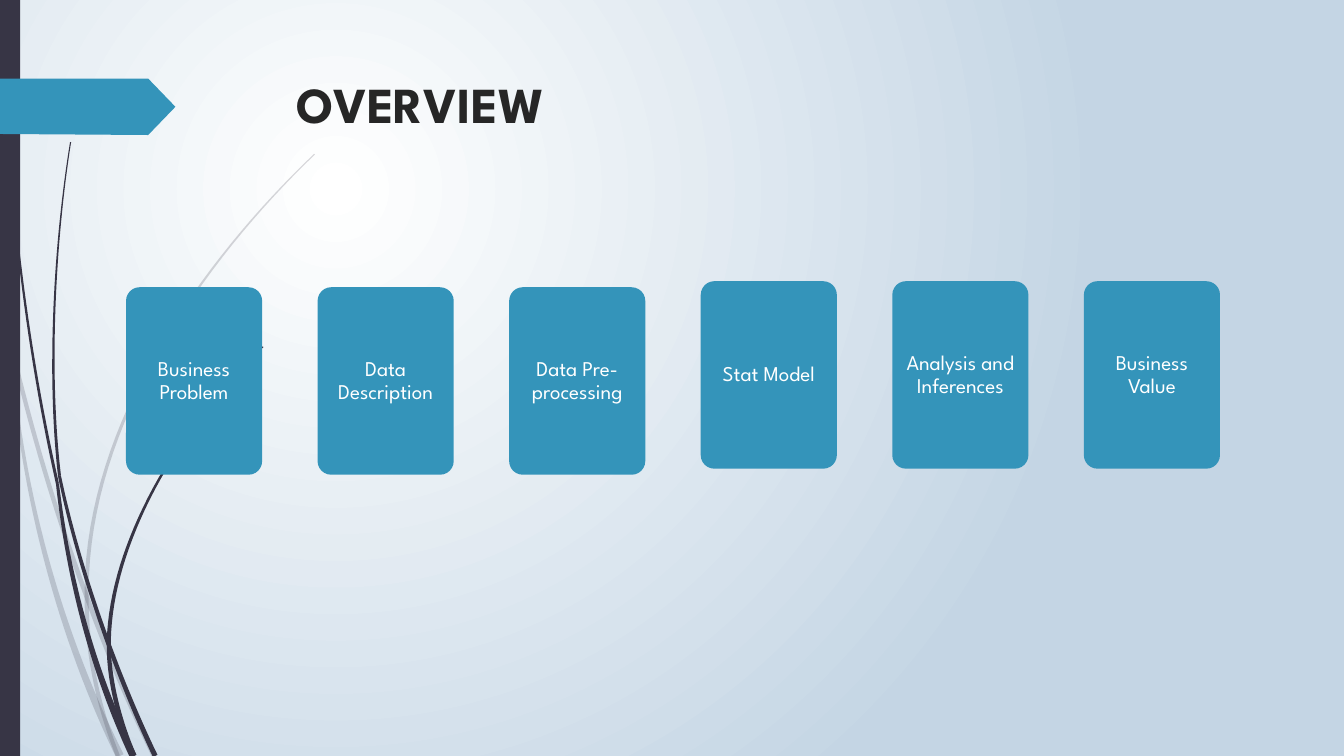
from lxml import etree
from pptx import Presentation
from pptx import util as u
from pptx.dml.color import RGBColor
from pptx.enum import shapes, text
from pptx.oxml import ns

HUES = {"stem": "373545", "card": "3494BA", "title": "262626",
        "label": "FFFFFF", "glow": "FFFFFF", "edge": "C4D5E4"}
FONT = "League Spartan"
TITLE = "OVERVIEW"
CARDS = ["Business Problem", "Data Description", "Data Pre-processing",
         "Stat Model", "Analysis and Inferences", "Business Value"]
TOPS = [2.85] * 3 + [2.79] * 3
LEFT, STEP, WIDE, HIGH = 1.25, 1.9, 1.35, 1.86
INSET = {"margin_left": 0.07, "margin_top": 0.07,
         "margin_right": 0.07, "margin_bottom": 0.07}
TAG = [(0, 0.78), (1.47, 0.78), (1.74, 1.06), (1.47, 1.34), (0, 1.33)]

FAINT = [
    ([(0, 2.9), (0.31, 4.45), (0.87, 6.15), (1.53, 7.5)], 0.04, 0.05),
    ([(0.11, 3.5), (0.22, 4.95), (0.62, 6.35), (1.19, 7.5)], 0.02, 0.08),
    ([(3.12, 1.53), (2, 2.6), (0.87, 4.2), (0.86, 5.85)], 0.01, 0.04),
    ([(0.86, 5.85), (0.85, 6.4), (0.95, 6.95), (1.17, 7.5)], 0.04, 0.04),
]
DARK = [
    ([(0.03, 0), (0.05, 1.6), (0.22, 3.25), (0.57, 4.8)], 0.01, 0.03),
    ([(0.57, 4.8), (0.68, 5.75), (0.92, 6.65), (1.32, 7.5)], 0.03, 0.07),
    ([(0.7, 1.41), (0.54, 2.4), (0.47, 3.7), (0.59, 4.72)], 0.01, 0.03),
    ([(0.59, 4.72), (0.76, 5.55), (1.12, 6.62), (1.54, 7.5)], 0.03, 0.05),
    ([(2.61, 3.44), (1.75, 4.25), (1.1, 5.4), (1.08, 6.36)], 0.01, 0.04),
    ([(1.08, 6.36), (1.07, 6.75), (1.2, 7.2), (1.33, 7.5)], 0.04, 0.05),
]


def paint(shape, hue):
    shape.shadow.inherit = False
    shape.fill.solid()
    shape.fill.fore_color.rgb = RGBColor.from_string(HUES[hue])
    shape.line.fill.background()
    return shape


def blend(dots, t):
    while len(dots) > 1:
        dots = [(a + (c - a) * t, b + (d - b) * t)
                for (a, b), (c, d) in zip(dots, dots[1:])]
    return dots[0]


def taper(spine, thin, thick, cuts=32):
    pull = [(c - a, d - b) for (a, b), (c, d) in zip(spine, spine[1:])]
    near, far = [], []
    for n in range(cuts + 1):
        t = n / cuts
        x, y = blend(spine, t)
        dx, dy = blend(pull, t)
        half = (thin + (thick - thin) * t) / 2 / (dx * dx + dy * dy) ** 0.5
        near.append((x - dy * half, y + dx * half))
        far.append((x + dy * half, y - dx * half))
    return near + far[::-1]


def outline(home, dots, hue):
    dots = [(u.Inches(x), u.Inches(y)) for x, y in dots]
    pen = home.build_freeform(*dots[0])
    pen.add_line_segments(dots[1:], close=True)
    return paint(pen.convert_to_shape(), hue)


def write(frame, words, size, hue, bold=False):
    frame.word_wrap = True
    par = frame.paragraphs[0]
    run = par.add_run()
    run.text = words
    for key, val in {"name": FONT, "size": u.Pt(size), "bold": bold}.items():
        setattr(run.font, key, val)
    run.font.color.rgb = RGBColor.from_string(HUES[hue])
    return par


def main():
    deck = Presentation()
    deck.slide_width, deck.slide_height = u.Inches(13.33), u.Inches(7.5)
    slide = deck.slides.add_slide(deck.slide_layouts[6])
    home = slide.shapes

    back = slide.background.fill
    back.gradient()
    for stop, hue in zip(back.gradient_stops, ("glow", "edge")):
        stop.color.rgb = RGBColor.from_string(HUES[hue])
    lin = next(slide.element.iter(ns.qn("a:lin")))
    ring = etree.Element(ns.qn("a:path"))
    ring.set("path", "circle")
    etree.SubElement(ring, ns.qn("a:fillToRect"),
                     l="50000", t="50000", r="100000", b="100000")
    lin.getparent().replace(lin, ring)

    for stems, alpha in ((FAINT, "20000"), (DARK, "100000")):
        group = home.add_group_shape()
        for stem in stems:
            blade = outline(group.shapes, taper(*stem), "stem")
            tint = next(blade.element.iter(ns.qn("a:srgbClr")))
            etree.SubElement(tint, ns.qn("a:alpha"), val=alpha)

    paint(home.add_shape(shapes.MSO_SHAPE.RECTANGLE, 0, 0, u.Inches(0.2),
                         deck.slide_height), "stem")
    outline(home, TAG, "card")
    box = home.add_textbox(*map(u.Inches, (2.84, 0.68, 9.75, 1.4)))
    write(box.text_frame, TITLE, 36, "title", True)

    for i, (words, top) in enumerate(zip(CARDS, TOPS)):
        spot = map(u.Inches, (LEFT + i * STEP, top, WIDE, HIGH))
        card = paint(home.add_shape(shapes.MSO_SHAPE.ROUNDED_RECTANGLE, *spot), "card")
        card.adjustments[0] = 0.1
        frame = card.text_frame
        for key, val in INSET.items():
            setattr(frame, key, u.Inches(val))
        frame.vertical_anchor = text.MSO_ANCHOR.MIDDLE
        par = write(frame, words, 15, "label")
        for key, val in {"alignment": text.PP_ALIGN.CENTER, "line_spacing": 0.9}.items():
            setattr(par, key, val)

    deck.save("out.pptx")


if __name__ == "__main__":
    main()
